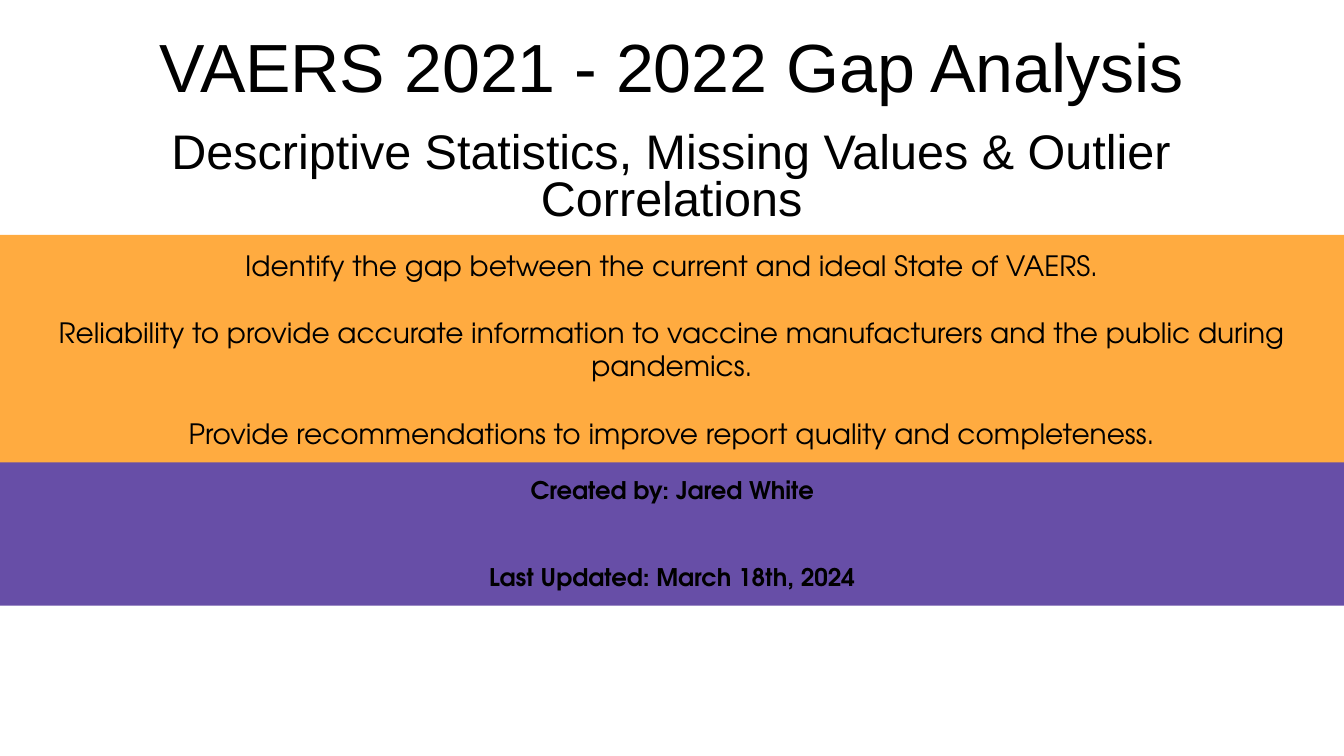
"""Build the title slide of the VAERS gap analysis."""
from pptx import Presentation
from pptx.dml.color import RGBColor
from pptx.enum.shapes import MSO_SHAPE
from pptx.enum.text import MSO_ANCHOR, MSO_AUTO_SIZE, PP_ALIGN
from pptx.util import Cm, Pt

RECTANGLE = MSO_SHAPE.RECTANGLE
TOP, BOTTOM = MSO_ANCHOR.TOP, MSO_ANCHOR.BOTTOM
CENTER = PP_ALIGN.CENTER
NO_AUTOFIT = MSO_AUTO_SIZE.NONE
WIDTH, HEIGHT = 25.4, 14.29
MARGIN, INSET = 0.86, 0.25


def color(value):
    return RGBColor.from_string(value)


class TitleSlide:
    heading_font = "Arial"
    body_font = "TeX Gyre Adventor"
    ink = "000000"

    def __init__(self, slide):
        self.slide = slide

    def add_lines(self, frame, lines, font, size, bold=False, side=INSET,
                  anchor=TOP, spacing=1.0, gap=0):
        frame.word_wrap = True
        frame.auto_size = NO_AUTOFIT
        frame.vertical_anchor = anchor
        frame.margin_left = frame.margin_right = Cm(side)
        frame.margin_top = frame.margin_bottom = Cm(INSET)
        for index, line in enumerate(lines):
            paragraph = frame.add_paragraph() if index else frame.paragraphs[0]
            paragraph.alignment = CENTER
            paragraph.line_spacing = spacing
            paragraph.space_before = Pt(gap if index else 0)
            run = paragraph.add_run()
            run.text = line
            run.font.name = font
            run.font.size = Pt(size)
            run.font.bold = bold
            run.font.color.rgb = color(self.ink)

    def title(self, text, top, height, size):
        heading = self.slide.shapes.title
        heading.left, heading.top = Cm(MARGIN), Cm(top)
        heading.width, heading.height = Cm(WIDTH - 2 * MARGIN), Cm(height)
        self.add_lines(heading.text_frame, [text], self.heading_font, size,
                       side=0, anchor=BOTTOM)

    def subtitle(self, text, top, height, size):
        box = self.slide.shapes.add_textbox(
            Cm(MARGIN), Cm(top), Cm(WIDTH - 2 * MARGIN), Cm(height))
        self.add_lines(box.text_frame, [text], self.heading_font, size,
                       side=0, spacing=0.8)

    def band(self, lines, top, height, fill, size, gap, bold=False):
        strip = self.slide.shapes.add_shape(
            RECTANGLE, 0, Cm(top), Cm(WIDTH), Cm(height))
        strip.shadow.inherit = False
        strip.fill.solid()
        strip.fill.fore_color.rgb = color(fill)
        strip.line.fill.background()
        self.add_lines(strip.text_frame, lines, self.body_font, size, bold, gap=gap)


def main():
    deck = Presentation()
    deck.slide_width, deck.slide_height = Cm(WIDTH), Cm(HEIGHT)
    page = TitleSlide(deck.slides.add_slide(deck.slide_layouts[5]))

    page.title("VAERS 2021 - 2022 Gap Analysis", 0.2, 2.06, 36.5)
    page.subtitle("Descriptive Statistics, Missing Values & Outlier Correlations",
                  2.26, 2.62, 26)
    goals = [
        "Identify the gap between the current and ideal State of VAERS.",
        "Reliability to provide accurate information to vaccine manufacturers "
        "and the public during pandemics.",
        "Provide recommendations to improve report quality and completeness.",
    ]
    page.band(goals, 4.44, 4.95, "FFAB40", 15, gap=18)
    credits = ["Created by: Jared White", "Last Updated: March 18th, 2024"]
    page.band(credits, 8.74, 2.71, "674EA7", 13, gap=31, bold=True)

    deck.save("out.pptx")


if __name__ == "__main__":
    main()
